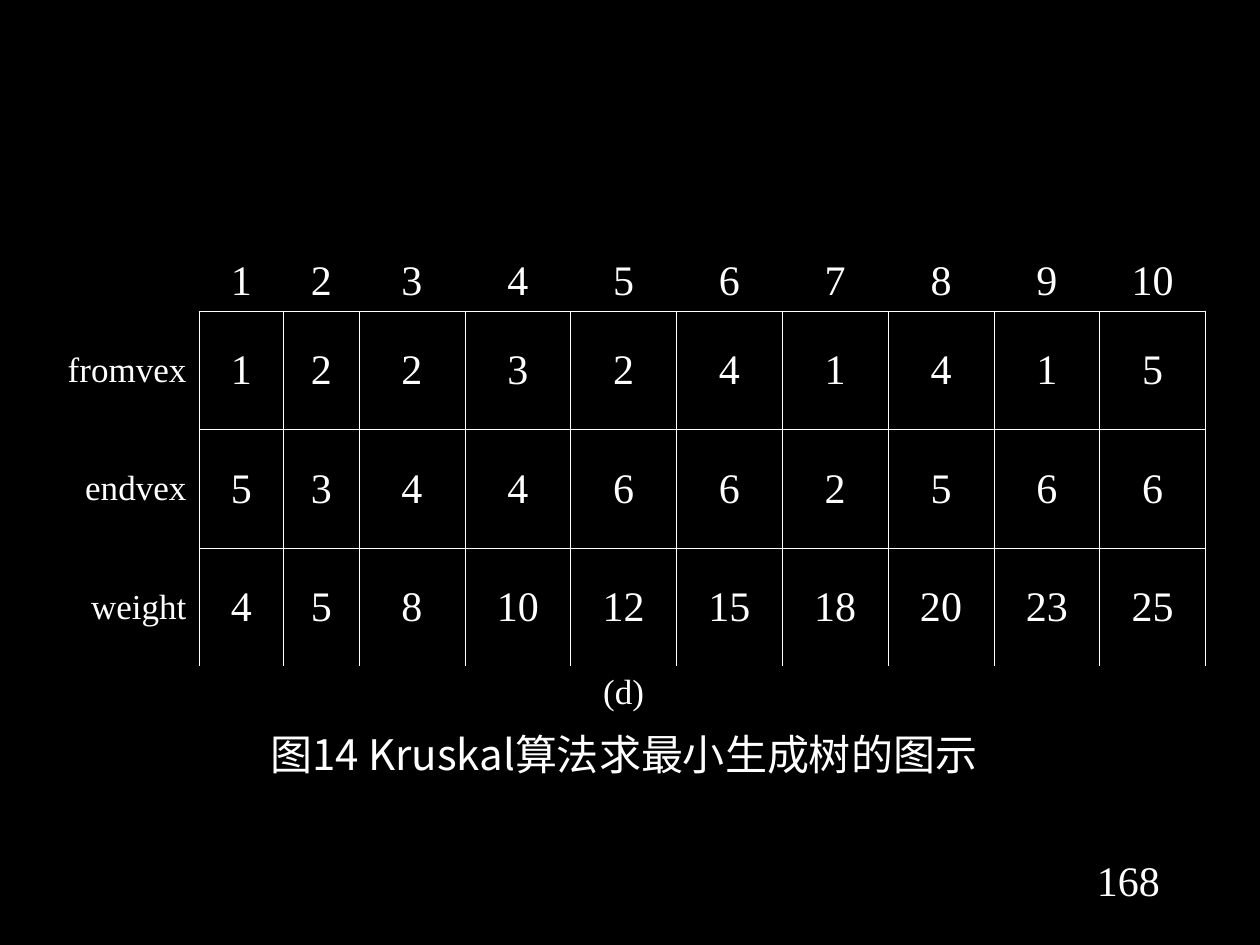
from lxml import etree
from pptx import Presentation, util as u
from pptx.dml.color import RGBColor
from pptx.enum import text
from pptx.oxml.ns import qn

COLORS = {"background": "000000", "ink": "FFFFFF"}
SERIF, CHINESE = "Times New Roman", "Noto Sans CJK SC"
NUMBER_SIZE, LABEL_SIZE = 24, 20
CENTER, RIGHT = text.PP_ALIGN.CENTER, text.PP_ALIGN.RIGHT
TOP, MIDDLE, BOTTOM = (text.MSO_ANCHOR.TOP, text.MSO_ANCHOR.MIDDLE,
                       text.MSO_ANCHOR.BOTTOM)

COLUMN_WIDTHS = [1.25, 0.67, 0.6] + [0.84] * 8
ROW_HEIGHTS = [0.94] * 4 + [0.96]
EDGES = {
    "fromvex": [1, 2, 2, 3, 2, 4, 1, 4, 1, 5],
    "endvex": [5, 3, 4, 4, 6, 6, 2, 5, 6, 6],
    "weight": [4, 5, 8, 10, 12, 15, 18, 20, 23, 25],
}


def write(paragraph, words, size, align=CENTER, font_name=SERIF):
    paragraph.text = str(words)
    paragraph.alignment = align
    font = paragraph.font
    font.size = u.Pt(size)
    font.name = font_name
    font.color.rgb = RGBColor.from_string(COLORS["ink"])
    properties = paragraph._p.pPr.find(qn("a:defRPr"))
    etree.SubElement(properties, qn("a:ea"), typeface=font_name)


def set_borders(cell, sides):
    """Rule the named sides (L, R, T, B) and leave the others bare."""
    properties = cell._tc.get_or_add_tcPr()
    for side in "LRTB":
        line = etree.SubElement(properties, qn(f"a:ln{side}"), w=str(u.Pt(0.45)))
        if side in sides:
            fill = etree.SubElement(line, qn("a:solidFill"))
            etree.SubElement(fill, qn("a:srgbClr"), val=COLORS["ink"])
        else:
            etree.SubElement(line, qn("a:noFill"))


def format_cell(cell, sides="", anchor=MIDDLE):
    set_borders(cell, sides)
    cell.fill.background()
    cell.vertical_anchor = anchor


def fill_cell(cell, words, size, align=CENTER, **style):
    format_cell(cell, **style)
    write(cell.text_frame.paragraphs[0], words, size, align)


def add_edge_table(slide):
    rows, columns = len(ROW_HEIGHTS), len(COLUMN_WIDTHS)
    frame = slide.shapes.add_table(
        rows, columns, u.Inches(0.33), u.Inches(1.53),
        u.Inches(sum(COLUMN_WIDTHS)), u.Inches(sum(ROW_HEIGHTS)))
    table = frame.table
    table.first_row = table.horz_banding = False
    for column, width in zip(table.columns, COLUMN_WIDTHS):
        column.width = u.Inches(width)
    for row, height in zip(table.rows, ROW_HEIGHTS):
        row.height = u.Inches(height)

    format_cell(table.cell(0, 0))
    for column in range(1, columns):
        fill_cell(table.cell(0, column), column, NUMBER_SIZE,
                  sides="B", anchor=BOTTOM)
    for row, (label, values) in enumerate(EDGES.items(), start=1):
        fill_cell(table.cell(row, 0), label, LABEL_SIZE, RIGHT, sides="R")
        sides = "LRT" if row == len(EDGES) else "LRTB"
        for column, value in enumerate(values, start=1):
            fill_cell(table.cell(row, column), value, NUMBER_SIZE, sides=sides)
    add_caption(table, rows - 1, columns - 1)


def add_caption(table, row, last_column):
    for column in range(last_column + 1):
        format_cell(table.cell(row, column))
    caption = table.cell(row, 0)
    caption.merge(table.cell(row, last_column))
    frame = caption.text_frame
    write(frame.paragraphs[0], "(d)", LABEL_SIZE)
    title = frame.add_paragraph()
    title.space_before = u.Pt(6)
    write(title, "图14 Kruskal算法求最小生成树的图示", NUMBER_SIZE,
          font_name=CHINESE)


def add_page_number(slide, number):
    box = slide.shapes.add_textbox(
        u.Inches(8.58), u.Inches(6.73), u.Inches(0.75), u.Inches(0.5))
    frame = box.text_frame
    frame.word_wrap = True
    frame.vertical_anchor = TOP
    write(frame.paragraphs[0], number, NUMBER_SIZE)


def main():
    presentation = Presentation()
    presentation.slide_width = u.Inches(10)
    presentation.slide_height = u.Inches(7.5)
    slide = presentation.slides.add_slide(presentation.slide_layouts[6])
    background = slide.background.fill
    background.solid()
    background.fore_color.rgb = RGBColor.from_string(COLORS["background"])
    add_page_number(slide, 168)
    add_edge_table(slide)
    presentation.save("out.pptx")


if __name__ == "__main__":
    main()
